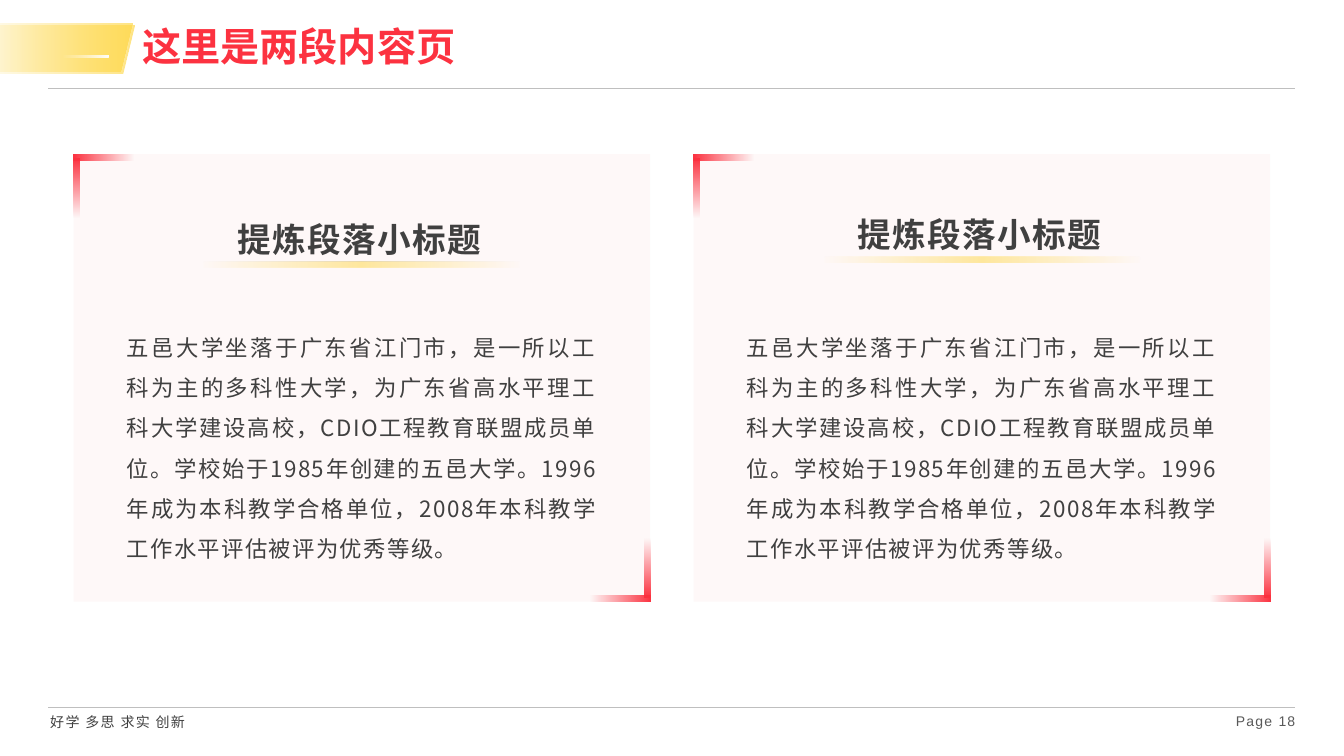
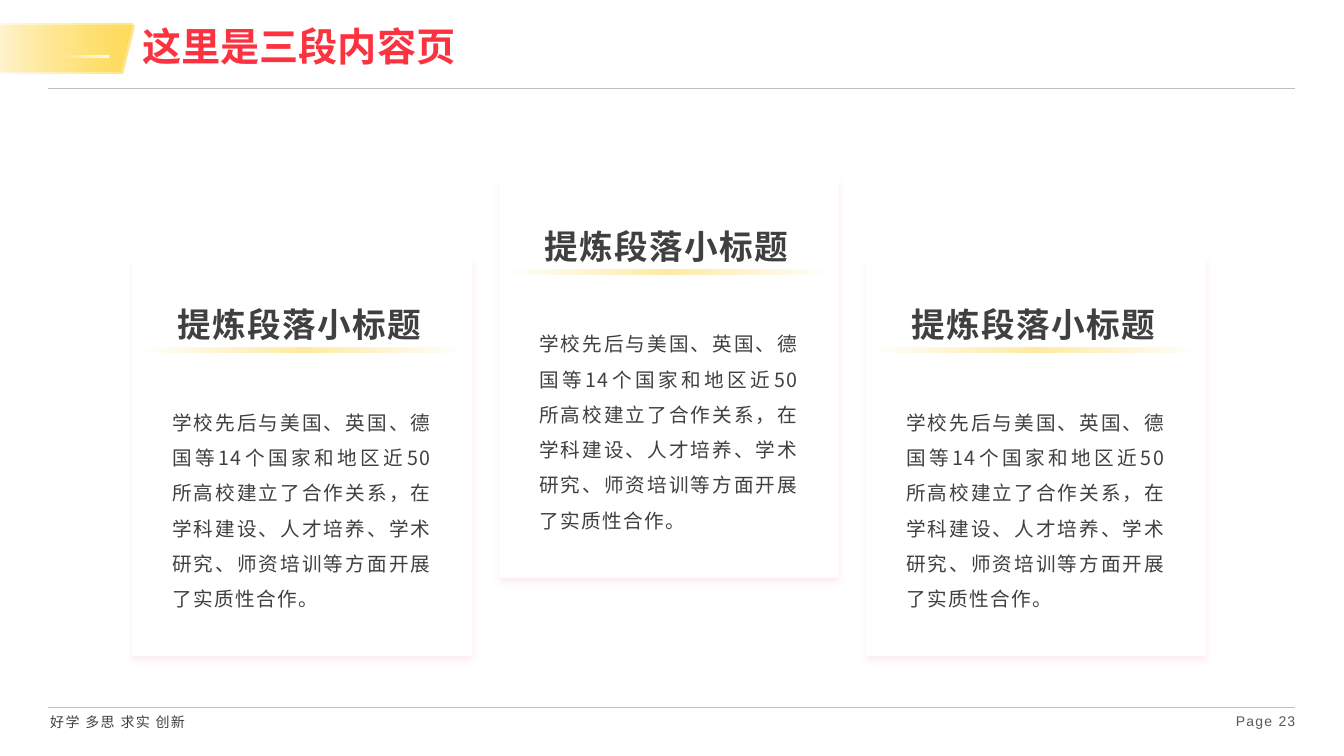
from dataclasses import dataclass
from typing import Any, NamedTuple

import pptx
import pptx.dml.color
import pptx.enum.shapes
import pptx.enum.text
import pptx.oxml
import pptx.oxml.ns
import pptx.util

RGBColor = pptx.dml.color.RGBColor
Pt = pptx.util.Pt
SHAPE = pptx.enum.shapes.MSO_SHAPE
ALIGN = pptx.enum.text.PP_ALIGN
ANCHOR = pptx.enum.text.MSO_ANCHOR
FIT = pptx.enum.text.MSO_AUTO_SIZE
NS = pptx.oxml.ns.nsdecls("a")

# Theme
RED = RGBColor(0xFC, 0x32, 0x40)
PINK = RGBColor(0xFE, 0xD6, 0xD9)
GOLD = RGBColor(0xFF, 0xD8, 0x47)
WHITE = RGBColor(0xFF, 0xFF, 0xFF)
INK = RGBColor(0x40, 0x40, 0x40)
GRAY = RGBColor(0x59, 0x59, 0x59)
RULE = RGBColor(0xBF, 0xBF, 0xBF)
CJK = "Noto Sans CJK SC"
SLIDE_W, SLIDE_H = pptx.util.Inches(13.333), pptx.util.Inches(7.5)

TITLE = {"size": Pt(28), "bold": True, "name": CJK}
HEADING = {"size": Pt(24), "bold": True, "name": CJK}
FOOTER = {"size": Pt(10), "name": "Arial"}

MOTTO = "好学 多思 求实 创新"
SUBTITLE = "提炼段落小标题"
HISTORY = (
    "五邑大学坐落于广东省江门市，是一所以工科为主的多科性大学，为广东省高水平理工科大学建设高校，"
    "CDIO工程教育联盟成员单位。学校始于1985年创建的五邑大学。1996年成为本科教学合格单位，"
    "2008年本科教学工作水平评估被评为优秀等级。"
)
PARTNERS = (
    "学校先后与美国、英国、德国等14个国家和地区近50所高校建立了合作关系，"
    "在学科建设、人才培养、学术研究、师资培训等方面开展了实质性合作。"
)


class Box(NamedTuple):
    """Left and width in percent of slide width, top and height of slide height."""
    x: float
    y: float
    w: float
    h: float

    def emu(self) -> tuple[int, ...]:
        sides = (SLIDE_W, SLIDE_H, SLIDE_W, SLIDE_H)
        return tuple(round(v * side / 100) for v, side in zip(self, sides))

    def centred(self, dy: float, w: float, h: float) -> "Box":
        return Box(self.x + (self.w - w) / 2, self.y + dy, w, h)


class Stop(NamedTuple):
    pos: int
    color: RGBColor
    alpha: int


@dataclass
class CardStyle:
    left: float
    pitch: float
    w: float
    h: float
    body_dy: float
    body_w: float
    body_h: float
    body_size: int
    framed: bool


@dataclass
class Page:
    title: str
    number: int
    text: str
    style: CardStyle
    tops: list[float]
    heading_dys: list[float]


BADGE = [Stop(0, GOLD, 0), Stop(100, GOLD, 68)]
DASH = [Stop(0, WHITE, 0), Stop(100, WHITE, 100)]
GLOW = [Stop(0, GOLD, 0), Stop(50, GOLD, 51), Stop(100, GOLD, 0)]
CORNER = [Stop(0, RED, 100), Stop(100, RED, 0)]

PAGES = [
    Page("这里是两段内容页", 18, HISTORY,
         CardStyle(5.48, 46.13, 42.9, 59.2, 21.33, 36.45, 33.07, 16, True),
         [20.4, 20.4], [7.87, 7.2]),
    Page("这里是三段内容页", 23, PARTNERS,
         CardStyle(9.83, 27.3, 25.28, 52.67, 18, 20.78, 29.07, 14, False),
         [34.13, 23.73, 34.13], [5.47, 5.47, 5.47]),
]


# Drawing helpers
def color_xml(color: RGBColor, alpha: int) -> str:
    return f'<a:srgbClr val="{color}"><a:alpha val="{alpha * 1000}"/></a:srgbClr>'


def add_shape(slide: Any, box: Box, fill: RGBColor | list[Stop],
              kind: Any = SHAPE.RECTANGLE, alpha: int = 100, angle: int = 0) -> Any:
    sp = slide.shapes.add_shape(kind, *box.emu())
    sp.shadow.inherit = False
    sp.line.fill.background()
    sp.fill.solid()
    if isinstance(fill, list):
        stops = "".join(f'<a:gs pos="{s.pos * 1000}">{color_xml(s.color, s.alpha)}</a:gs>'
                        for s in fill)
        xml = (f'<a:gradFill {NS} rotWithShape="1"><a:gsLst>{stops}</a:gsLst>'
               f'<a:lin ang="{angle * 60000}" scaled="0"/></a:gradFill>')
    else:
        xml = f'<a:solidFill {NS}>{color_xml(fill, alpha)}</a:solidFill>'
    spPr = sp._element.spPr
    spPr.replace(spPr.find(pptx.oxml.ns.qn("a:solidFill")), pptx.oxml.parse_xml(xml))
    return sp


def add_shadow(sp: Any) -> None:
    effects = sp._element.spPr.find(pptx.oxml.ns.qn("a:effectLst"))
    effects.append(pptx.oxml.parse_xml(
        f'<a:outerShdw {NS} blurRad="{Pt(4)}" dist="{Pt(3)}" dir="5400000" '
        f'algn="t" rotWithShape="0">{color_xml(PINK, 40)}</a:outerShdw>'))


def write(tf: Any, text: str, font: dict[str, Any], color: RGBColor, align: Any,
          line_spacing: float | None = None, spc: int = 0) -> None:
    p = tf.paragraphs[0]
    p.alignment = align
    p.line_spacing = line_spacing
    r = p.add_run()
    r.text = text
    for name, value in font.items():
        setattr(r.font, name, value)
    r.font.color.rgb = color
    rPr = r._r.get_or_add_rPr()
    rPr.set("lang", "zh-CN")
    rPr.set("spc", str(spc))
    rPr.append(pptx.oxml.parse_xml(f'<a:ea {NS} typeface="{CJK}"/>'))


def add_text(slide: Any, box: Box, text: str, font: dict[str, Any],
             color: RGBColor = INK, align: Any = ALIGN.JUSTIFY,
             line_spacing: float | None = None, spc: int = 100) -> Any:
    tf = slide.shapes.add_textbox(*box.emu()).text_frame
    tf.word_wrap = True
    tf.auto_size = FIT.SHAPE_TO_FIT_TEXT
    write(tf, text, font, color, align, line_spacing, spc)
    return tf


def add_rule(slide: Any, y: float) -> None:
    x, top, w, _ = Box(3.6, y, 92.78, 0).emu()
    line = slide.shapes.add_connector(pptx.enum.shapes.MSO_CONNECTOR.STRAIGHT,
                                      x, top, x + w, top)
    line.line.color.rgb = RULE
    line.line.width = Pt(0.5)
    line._element.spPr.append(pptx.oxml.parse_xml(f"<a:effectLst {NS}/>"))


# Shared frame: badge, title, rules and footer
def add_frame(slide: Any, page: Page) -> None:
    for y in (11.73, 93.6):
        add_rule(slide, y)
    add_text(slide, Box(3, 93.73, 16.13, 3.6), MOTTO, FOOTER)
    tf = add_text(slide, Box(88.88, 93.6, 7.5, 4.27), f"Page {page.number}",
                  FOOTER, GRAY, ALIGN.RIGHT, spc=90)
    tf.margin_right = 0
    for box, fill in ((Box(-2.55, 3.33, 12.53, 6.4), BADGE),
                      (Box(-2.7, 3.07, 12.53, 6.4), BADGE),
                      (Box(4.65, 7.33, 3.45, 0.27), DASH)):
        add_shape(slide, box, fill, SHAPE.PARALLELOGRAM)

    title = slide.shapes.title
    title.left, title.top, title.width, title.height = Box(9.83, 3.2, 67.43, 6.4).emu()
    tf = title.text_frame
    for name, value in {"vertical_anchor": ANCHOR.MIDDLE, "word_wrap": True,
                        "auto_size": FIT.NONE}.items():
        setattr(tf, name, value)
    write(tf, page.title, TITLE, RED, ALIGN.LEFT, 0.9)


# Cards
def add_corners(slide: Any, card: Box) -> None:
    across_w, across_h, down_w, down_h, gap = 4.42, 0.8, 0.45, 7.87, 0.53
    right, bottom = card.x + card.w, card.y + card.h
    for box, angle in (
        (Box(card.x, card.y, across_w, across_h), 0),
        (Box(card.x, card.y + gap, down_w, down_h), 90),
        (Box(right - across_w, bottom - across_h, across_w, across_h), 180),
        (Box(right - down_w, bottom - gap - down_h, down_w, down_h), 270),
    ):
        add_shape(slide, box, CORNER, angle=angle)


def add_card(slide: Any, card: Box, style: CardStyle, heading_dy: float, text: str) -> None:
    if style.framed:
        add_shape(slide, card, PINK, alpha=16)
        add_corners(slide, card)
    else:
        add_shadow(add_shape(slide, card, WHITE))
    add_text(slide, card.centred(heading_dy, 20.03, 6.67), SUBTITLE, HEADING)
    add_shape(slide, card.centred(heading_dy + 6.4, 23.63, 0.67), GLOW, SHAPE.PARALLELOGRAM)
    add_text(slide, card.centred(style.body_dy, style.body_w, style.body_h), text,
             {"size": Pt(style.body_size), "name": CJK}, line_spacing=1.5)


def main() -> None:
    prs = pptx.Presentation()
    prs.slide_width, prs.slide_height = SLIDE_W, SLIDE_H
    for page in PAGES:
        slide = prs.slides.add_slide(prs.slide_layouts[5])
        add_frame(slide, page)
        style = page.style
        for i, (top, heading_dy) in enumerate(zip(page.tops, page.heading_dys)):
            card = Box(style.left + i * style.pitch, top, style.w, style.h)
            add_card(slide, card, style, heading_dy, page.text)
    prs.save("out.pptx")


if __name__ == "__main__":
    main()
